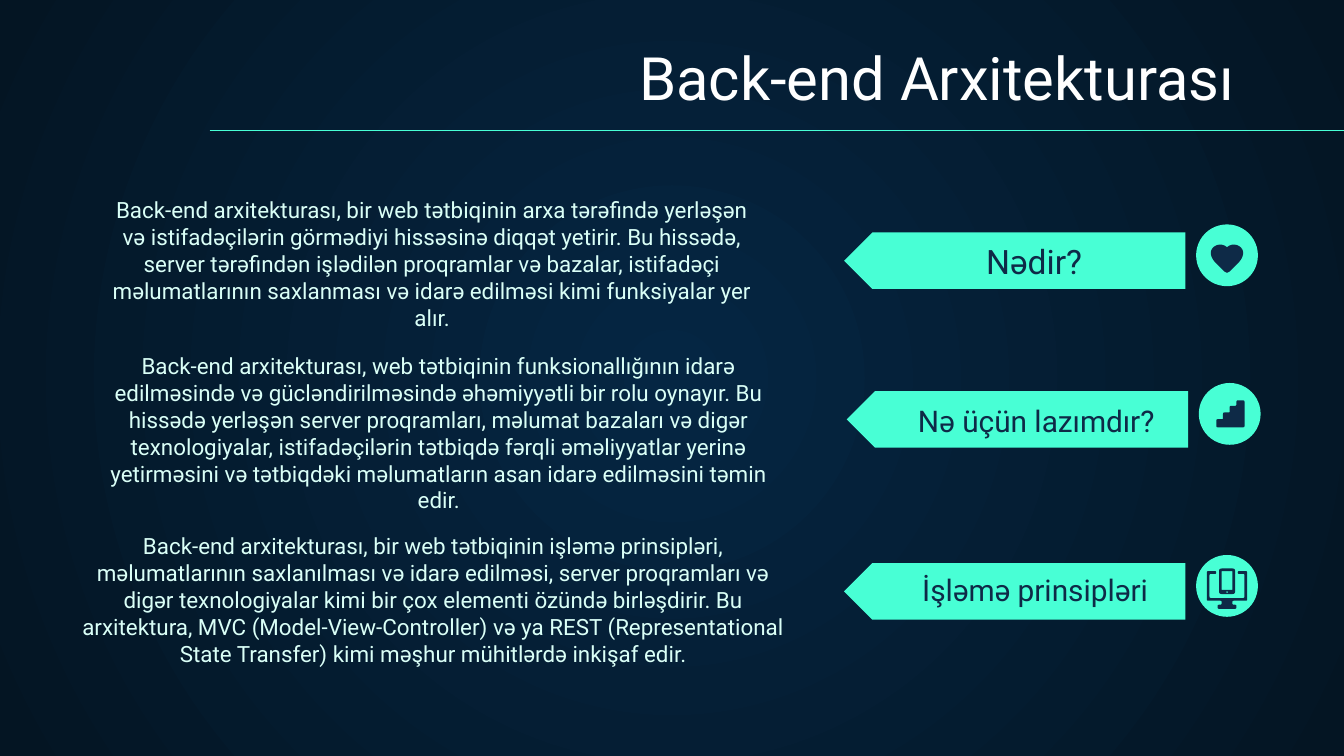
from math import hypot

from lxml import etree
from pptx import Presentation
from pptx.dml.color import RGBColor
from pptx.enum.shapes import MSO_CONNECTOR, MSO_SHAPE
from pptx.enum.text import MSO_ANCHOR, PP_ALIGN
from pptx.oxml.ns import qn
from pptx.util import Inches, Pt

GLOW = RGBColor(0x05, 0x26, 0x43)
NIGHT = RGBColor(0x04, 0x15, 0x23)
MINT = RGBColor(0x48, 0xFF, 0xD5)
PALE_MINT = RGBColor(0xDA, 0xFF, 0xF7)
NAVY = RGBColor(0x0E, 0x2A, 0x47)
WHITE = RGBColor(0xFF, 0xFF, 0xFF)
FONT = "Roboto"

WHAT_TEXT = (
    "Back-end arxitekturası, bir web tətbiqinin arxa tərəfində yerləşən və "
    "istifadəçilərin görmədiyi hissəsinə diqqət yetirir. Bu hissədə, server "
    "tərəfindən işlədilən proqramlar və bazalar, istifadəçi məlumatlarının "
    "saxlanması və idarə edilməsi kimi funksiyalar yer alır."
)
WHY_TEXT = (
    "Back-end arxitekturası, web tətbiqinin funksionallığının idarə edilməsində "
    "və gücləndirilməsində əhəmiyyətli bir rolu oynayır. Bu hissədə yerləşən "
    "server proqramları, məlumat bazaları və digər texnologiyalar, "
    "istifadəçilərin tətbiqdə fərqli əməliyyatlar yerinə yetirməsini və "
    "tətbiqdəki məlumatların asan idarə edilməsini təmin edir."
)
HOW_TEXT = (
    "Back-end arxitekturası, bir web tətbiqinin işləmə prinsipləri, "
    "məlumatlarının saxlanılması və idarə edilməsi, server proqramları və digər "
    "texnologiyalar kimi bir çox elementi özündə birləşdirir. Bu arxitektura, "
    "MVC (Model-View-Controller) və ya REST (Representational State Transfer) "
    "kimi məşhur mühitlərdə inkişaf edir."
)


def rounded(points, radius=1):
    """Return the polygon with each corner replaced by a short quadratic curve."""
    outline = []
    for i, (x, y) in enumerate(points):
        ends = []
        for nx, ny in (points[i - 1], points[(i + 1) % len(points)]):
            length = hypot(nx - x, ny - y)
            step = min(radius, length / 2) / length
            ends.append((x + (nx - x) * step, y + (ny - y) * step))
        (ax, ay), (bx, by) = ends
        for t in (0, 0.25, 0.5, 0.75, 1):
            a, m, b = (1 - t) ** 2, 2 * t * (1 - t), t ** 2
            outline.append((a * ax + m * x + b * bx, a * ay + m * y + b * by))
    return outline


def rectangle(left, top, right, bottom):
    return [(left, top), (right, top), (right, bottom), (left, bottom)]


def curved(start, curves, steps=10):
    """Sample a chain of cubic curves, each given as two controls and an end."""
    outline = [start]
    for controls in curves:
        knots = [outline[-1], *controls]
        for i in range(1, steps + 1):
            t = i / steps
            weights = ((1 - t) ** 3, 3 * t * (1 - t) ** 2, 3 * t ** 2 * (1 - t), t ** 3)
            outline.append(tuple(
                sum(w * knot[axis] for w, knot in zip(weights, knots)) for axis in (0, 1)))
    return outline


# Icons: shapes made of contours, in hundredths of an inch from the badge's corner.
HEART_LEFT = curved((23, 17), [
    [(22, 16), (20, 15), (18, 15)],
    [(14, 15), (11, 18), (11, 21)],
    [(11, 26), (15, 29), (21, 35)],
]) + [(23, 36)]
HEART = [[HEART_LEFT + [(46 - x, y) for x, y in reversed(HEART_LEFT[1:-1])]]]
STAIRS = [[rounded([(28, 13), (34, 13), (34, 33), (13, 33), (13, 27), (18, 27),
                    (18, 22), (23, 22), (23, 17), (28, 17)])]]
MONITOR_LEFT = [(15, 14), (15, 12), (8, 12), (8, 34), (19, 34), (19, 37), (16, 37), (16, 40)]
SCREEN = [(36, 14), (36, 32), (10, 32), (10, 14)]
MONITOR = rounded(
    MONITOR_LEFT + [(46 - x, y) for x, y in reversed(MONITOR_LEFT)] + SCREEN)
PHONE = [rounded(rectangle(17, 10, 29, 29), 2),
         rectangle(19, 12, 27, 26)[::-1],
         rounded(rectangle(22.4, 27, 23.6, 28.2)[::-1])]
DEVICES = [[MONITOR], PHONE]


def paint(shape, color):
    shape.shadow.inherit = False
    shape.fill.solid()
    shape.fill.fore_color.rgb = color
    shape.line.fill.background()


def add_text(page, box, text, size, color, align, anchor=MSO_ANCHOR.BOTTOM):
    frame = page.shapes.add_textbox(*map(Inches, box)).text_frame
    frame.word_wrap = True
    frame.vertical_anchor = anchor
    frame.margin_left = frame.margin_right = Inches(0.1)
    frame.margin_top = frame.margin_bottom = Inches(0.1)
    para = frame.paragraphs[0]
    para.text = text
    para.alignment = align
    para.font.name = FONT
    para.font.size = Pt(size)
    para.font.color.rgb = color


def add_background(page):
    fill = page.background.fill
    fill.gradient()
    for stop, color in zip(fill.gradient_stops, (GLOW, NIGHT)):
        stop.color.rgb = color
    gradient = page.background._cSld.find(".//" + qn("a:gradFill"))
    gradient.remove(gradient.find(qn("a:lin")))
    circle = etree.SubElement(gradient, qn("a:path"), {"path": "circle"})
    etree.SubElement(circle, qn("a:fillToRect"), dict.fromkeys("ltrb", "50000"))


def add_heading(page, box, text):
    """Place a right-aligned title above a rule that bleeds off the right edge."""
    left, top, width, height = box
    add_text(page, box, text, 32, WHITE, PP_ALIGN.RIGHT)
    rule_left, rule_y = left + 0.84, Inches(top + height + 0.03)
    rule = page.shapes.add_connector(
        MSO_CONNECTOR.STRAIGHT, Inches(rule_left), rule_y, Inches(rule_left + 9.01), rule_y)
    rule.line.color.rgb = MINT
    rule.line.width = Pt(0.75)
    etree.SubElement(rule._element.spPr, qn("a:effectLst"))


def add_badge(page, left, top, icon):
    badge = page.shapes.add_shape(
        MSO_SHAPE.OVAL, Inches(left), Inches(top), Inches(0.46), Inches(0.46))
    paint(badge, MINT)
    for contours in icon:
        placed = [[(Inches(left + x / 100), Inches(top + y / 100)) for x, y in contour]
                  for contour in contours]
        builder = page.shapes.build_freeform(*placed[0][0])
        builder.add_line_segments(placed[0][1:])
        for hole in placed[1:]:
            builder.move_to(*hole[0])
            builder.add_line_segments(hole[1:])
        paint(builder.convert_to_shape(), NAVY)


def add_tag(page, box, label, size, label_offset, icon):
    """Place a left-pointing arrow with its label and a round icon badge."""
    left, top, width, height = box
    arrow = page.shapes.add_shape(MSO_SHAPE.PENTAGON, *map(Inches, box))
    arrow.rotation = 180
    paint(arrow, MINT)
    add_badge(page, left + width + 0.08, top - 0.06, icon)
    shift_x, shift_y = label_offset
    add_text(page, (left + shift_x, top + shift_y, 2.27, 0.21),
             label, size, NAVY, PP_ALIGN.RIGHT)


def main():
    deck = Presentation()
    deck.slide_width = Inches(10)
    deck.slide_height = deck.slide_width * 9 // 16
    page = deck.slides.add_slide(deck.slide_layouts[6])
    add_background(page)
    add_heading(page, (0.72, 0.28, 8.57, 0.66), "Back-end Arxitekturası")
    topics = [
        ((6.28, 1.73), "Nədir?", 18, (-0.4, 0.25), HEART, (0.66, 1.36, 5.11), WHAT_TEXT),
        ((6.3, 2.91), "Nə üçün lazımdır?", 16, (0.12, 0.24), STAIRS,
         (0.55, 2.52, 5.43), WHY_TEXT),
        ((6.28, 4.19), "İşləmə prinsipləri", 16, (0.09, 0.22), DEVICES,
         (0.51, 3.86, 5.43), HOW_TEXT),
    ]
    for corner, label, size, label_offset, icon, text_place, text in topics:
        add_tag(page, (*corner, 2.54, 0.42), label, size, label_offset, icon)
        add_text(page, (*text_place, 1.55), text, 12, PALE_MINT,
                 PP_ALIGN.CENTER, MSO_ANCHOR.TOP)
    deck.save("out.pptx")


if __name__ == "__main__":
    main()
